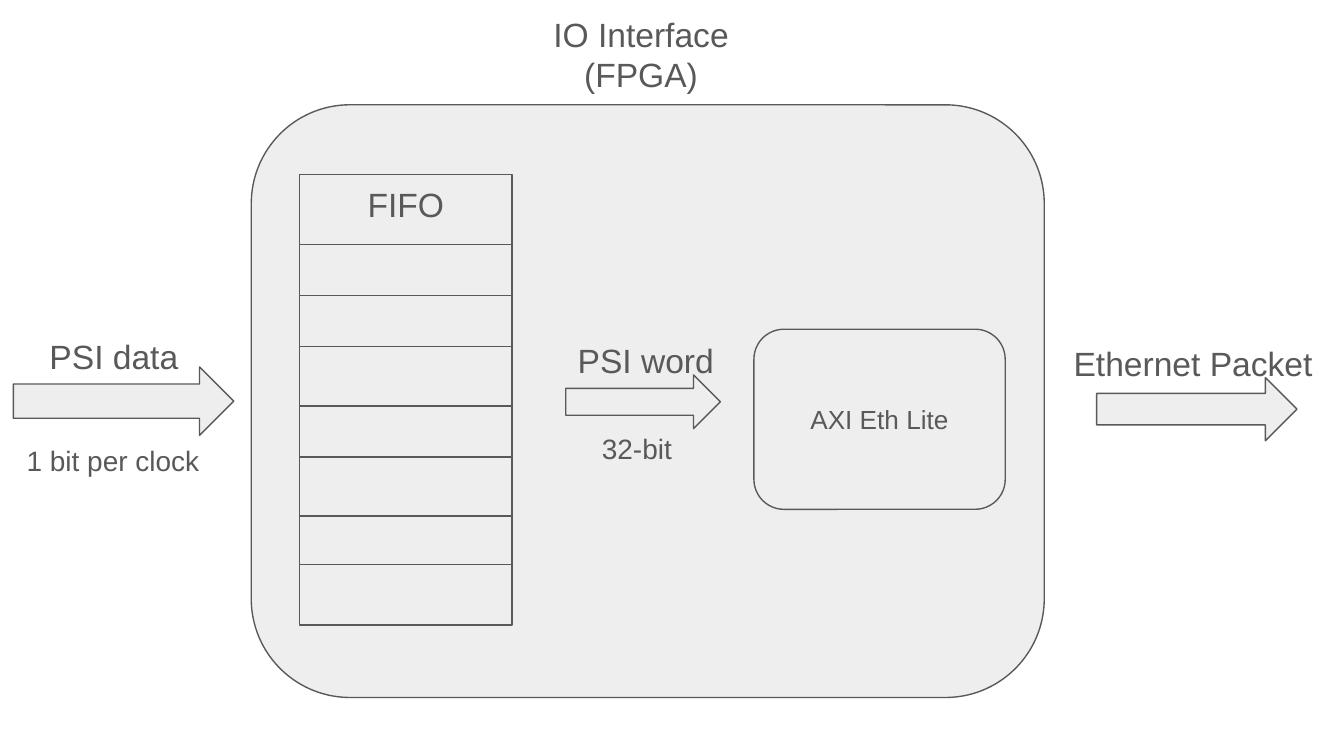
from dataclasses import dataclass

from lxml import etree
from pptx import Presentation
from pptx.dml.color import RGBColor
from pptx.enum import shapes, text
from pptx.oxml.ns import qn
from pptx.util import Inches, Pt


@dataclass(frozen=True)
class Theme:
    font: str = "Arial"
    ink: RGBColor = RGBColor(0x59, 0x59, 0x59)
    panel: RGBColor = RGBColor(0xEE, 0xEE, 0xEE)
    line: float = 0.75
    heading: int = 18
    note: int = 15
    block: int = 14


theme = Theme()
LEFT, CENTER = text.PP_ALIGN.LEFT, text.PP_ALIGN.CENTER
ARROW = shapes.MSO_SHAPE.RIGHT_ARROW
ROUNDED = shapes.MSO_SHAPE.ROUNDED_RECTANGLE
RECTANGLE = shapes.MSO_SHAPE.RECTANGLE

presentation = Presentation()
presentation.slide_width = Inches(10)
presentation.slide_height = Inches(10 * 9 / 16)
slide = presentation.slides.add_slide(presentation.slide_layouts[6])


def write(shape, lines, size, alignment, anchor=text.MSO_ANCHOR.TOP):
    frame = shape.text_frame
    frame_format = {"word_wrap": True, "vertical_anchor": anchor}
    for side in ("left", "top", "right", "bottom"):
        frame_format[f"margin_{side}"] = Inches(0.1)
    for name, value in frame_format.items():
        setattr(frame, name, value)
    frame.text = "\n".join(lines)
    for paragraph in frame.paragraphs:
        paragraph.alignment = alignment
        for name, value in {"name": theme.font, "size": Pt(size)}.items():
            setattr(paragraph.font, name, value)
        paragraph.font.color.rgb = theme.ink


def add_block(kind, *box):
    """Add a filled, outlined shape; box is left, top, width, height in inches."""
    shape = slide.shapes.add_shape(kind, *map(Inches, box))
    shape.shadow.inherit = False
    shape.fill.solid()
    shape.fill.fore_color.rgb = theme.panel
    shape.line.color.rgb = theme.ink
    shape.line.width = Pt(theme.line)
    return shape


# Blocks and data-flow arrows, back to front
add_block(ROUNDED, 1.87, 0.78, 5.9, 4.41)
for box in (
    (0.1, 2.73, 1.64, 0.51),
    (4.21, 2.79, 1.15, 0.4),
    (8.16, 2.81, 1.49, 0.47),
):
    add_block(ARROW, *box)
ethernet_core = add_block(ROUNDED, 5.61, 2.45, 1.87, 1.34)
write(ethernet_core, ["AXI Eth Lite"], theme.block, CENTER, text.MSO_ANCHOR.MIDDLE)

# FIFO with its row dividers
fifo_left, fifo_width = 2.23, 1.58
add_block(RECTANGLE, fifo_left, 1.3, fifo_width, 3.35)
for y in (1.82, 2.2, 2.58, 3.02, 3.4, 3.84, 4.2):
    divider = slide.shapes.add_connector(
        shapes.MSO_CONNECTOR.STRAIGHT,
        Inches(fifo_left), Inches(y), Inches(fifo_left + fifo_width), Inches(y),
    )
    divider.line.color.rgb = theme.ink
    divider.line.width = Pt(theme.line)
    etree.SubElement(divider._element.spPr, qn("a:effectLst"))

# Labels
for lines, size, alignment, box in (
    (["IO Interface", "(FPGA)"], theme.heading, CENTER, (3.98, 0, 1.58, 0.82)),
    (["FIFO"], theme.heading, CENTER, (2.2, 1.27, 1.64, 0.49)),
    (["PSI data"], theme.heading, LEFT, (0.27, 2.4, 1.47, 0.39)),
    (["1 bit per clock"], theme.note, LEFT, (0.1, 3.2, 1.64, 0.59)),
    (["PSI word"], theme.heading, LEFT, (4.2, 2.43, 1.23, 0.31)),
    (["32-bit"], theme.note, LEFT, (4.38, 3.11, 1.37, 0.47)),
    (["Ethernet Packet"], theme.heading, LEFT, (7.89, 2.45, 2.14, 0.36)),
):
    label = slide.shapes.add_textbox(*map(Inches, box))
    write(label, lines, size, alignment)

presentation.save("out.pptx")
